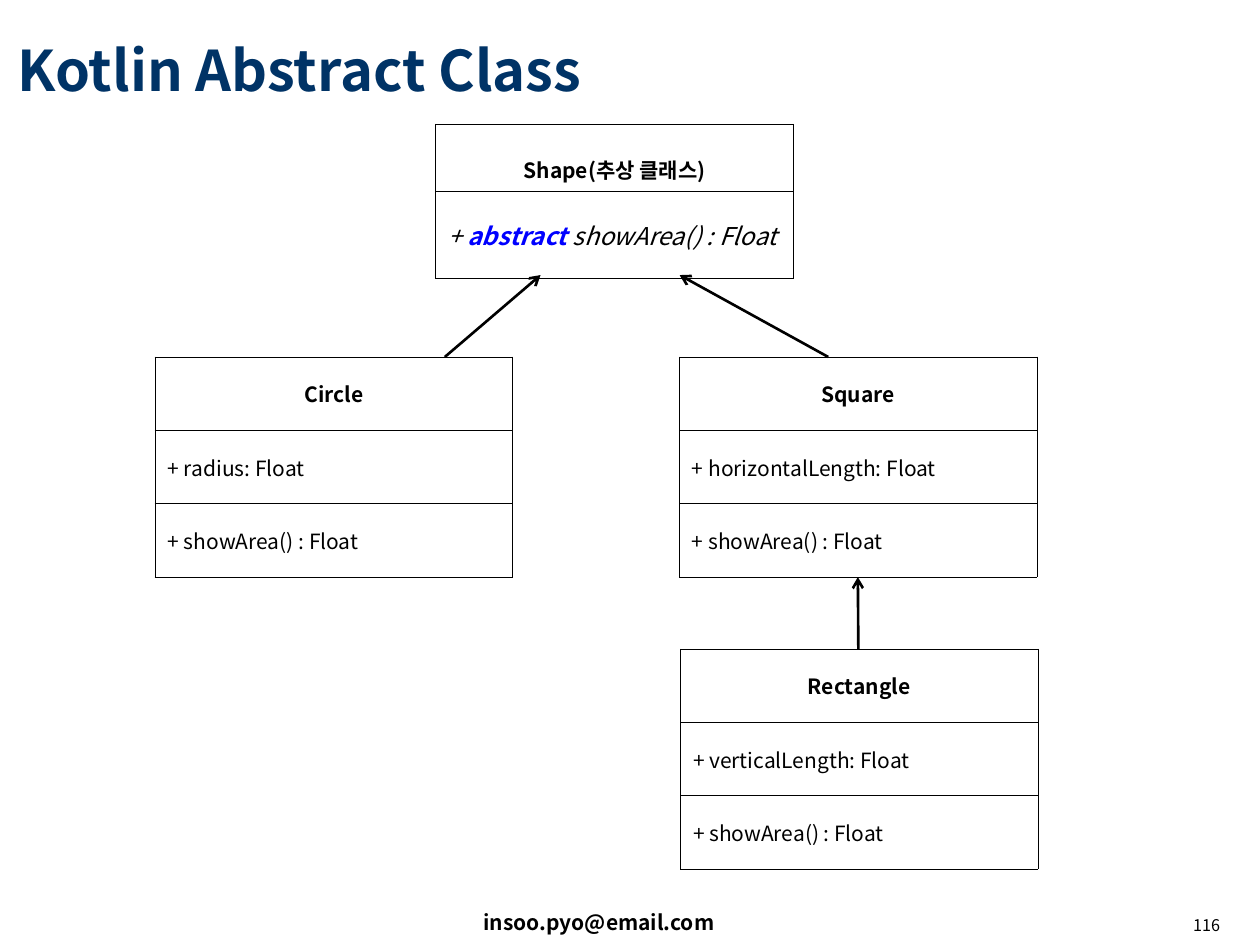
import pptx
import pptx.dml.color
import pptx.enum.shapes
import pptx.enum.text
import pptx.oxml.ns
import pptx.util
from lxml import etree

Pt = pptx.util.Pt
RGBColor = pptx.dml.color.RGBColor
ALIGN = pptx.enum.text.PP_ALIGN
ANCHOR = pptx.enum.text.MSO_ANCHOR
qn = pptx.oxml.ns.qn

FONT = "Noto Sans CJK KR"
BLACK = RGBColor(0x00, 0x00, 0x00)
NAVY = RGBColor(0x00, 0x33, 0x66)
BLUE = RGBColor(0x00, 0x00, 0xFF)


def add_span(para, text, size=12, color=BLACK, bold=False, italic=False, align=ALIGN.LEFT):
    para.alignment = align
    span = para.add_run()
    span.text = text
    span.font.size = Pt(size)
    span.font.bold = bold
    span.font.italic = italic
    span.font.color.rgb = color
    span.font.name = FONT
    etree.SubElement(span.font._element, qn("a:ea"), typeface=FONT)


def add_class_table(left, top, heights):
    """Add a one-column class box with thin black borders and return its cells."""
    frame = page.shapes.add_table(len(heights), 1, Pt(left), Pt(top), Pt(204.3), Pt(sum(heights)))
    table = frame.table
    table.first_row = table.horz_banding = False
    cells = [table.cell(index, 0) for index in range(len(heights))]
    for row, cell, height in zip(table.rows, cells, heights):
        row.height = Pt(height)
        cell.vertical_anchor = ANCHOR.MIDDLE
        properties = cell._tc.get_or_add_tcPr()
        for side in ("a:lnL", "a:lnR", "a:lnT", "a:lnB"):
            border = etree.SubElement(properties, qn(side), w=str(Pt(0.45)))
            fill = etree.SubElement(border, qn("a:solidFill"))
            etree.SubElement(fill, qn("a:srgbClr"), val=str(BLACK))
        cell.fill.background()
    return cells


deck = pptx.Presentation()
deck.slide_width = Pt(720)
deck.slide_height = Pt(540)
page = deck.slides.add_slide(deck.slide_layouts[5])

# Title
title = page.shapes.title
title.left, title.top, title.width, title.height = Pt(2.9), Pt(6.5), Pt(695.5), Pt(65.5)
title.text_frame.vertical_anchor = ANCHOR.MIDDLE
add_span(title.text_frame.paragraphs[0], "Kotlin Abstract Class", size=32, color=NAVY, bold=True)

# Footer and page number
footers = [
    ("insoo.pyo@email.com", 269.3, 516.2, 232.5, 21.6, 12, True, ALIGN.LEFT),
    ("116", 554.4, 519.8, 149.8, 20.2, 9.2, False, ALIGN.RIGHT),
]
for text, left, top, width, height, size, bold, align in footers:
    box = page.shapes.add_textbox(Pt(left), Pt(top), Pt(width), Pt(height))
    box.text_frame.word_wrap = True
    add_span(box.text_frame.paragraphs[0], text, size=size, bold=bold, align=align)

# Abstract base class
name, method = add_class_table(249, 71, [38.3, 49.7])
name.vertical_anchor = ANCHOR.BOTTOM
add_span(name.text_frame.paragraphs[0], "Shape(추상 클래스)", bold=True, align=ALIGN.CENTER)
para = method.text_frame.paragraphs[0]
add_span(para, "+ ", size=14, italic=True)
add_span(para, "abstract ", size=14, color=BLUE, bold=True, italic=True)
add_span(para, "showArea() : Float", size=14, italic=True)

# Derived classes
subclasses = [
    ("Circle", "radius", 88.6, 204),
    ("Square", "horizontalLength", 388.2, 204),
    ("Rectangle", "verticalLength", 388.8, 370.9),
]
for class_name, field, left, top in subclasses:
    name, attribute, method = add_class_table(left, top, [41.9] * 3)
    add_span(name.text_frame.paragraphs[0], class_name, bold=True, align=ALIGN.CENTER)
    add_span(attribute.text_frame.paragraphs[0], f"+ {field}: Float")
    add_span(method.text_frame.paragraphs[0], "+ showArea() : Float")

# Inheritance arrows, from subclass to parent
arrows = [
    (254.2, 204, 308.9, 157.2),
    (473.3, 204, 388.4, 157.2),
    (490.5, 370.9, 490.2, 329.8),
]
for ends in arrows:
    arrow = page.shapes.add_connector(
        pptx.enum.shapes.MSO_CONNECTOR.STRAIGHT, *[Pt(end) for end in ends])
    arrow.line.color.rgb = BLACK
    arrow.line.width = Pt(1.5)
    etree.SubElement(arrow.line._get_or_add_ln(), qn("a:tailEnd"), type="arrow")
    etree.SubElement(arrow._element.spPr, qn("a:effectLst"))

deck.save("out.pptx")
